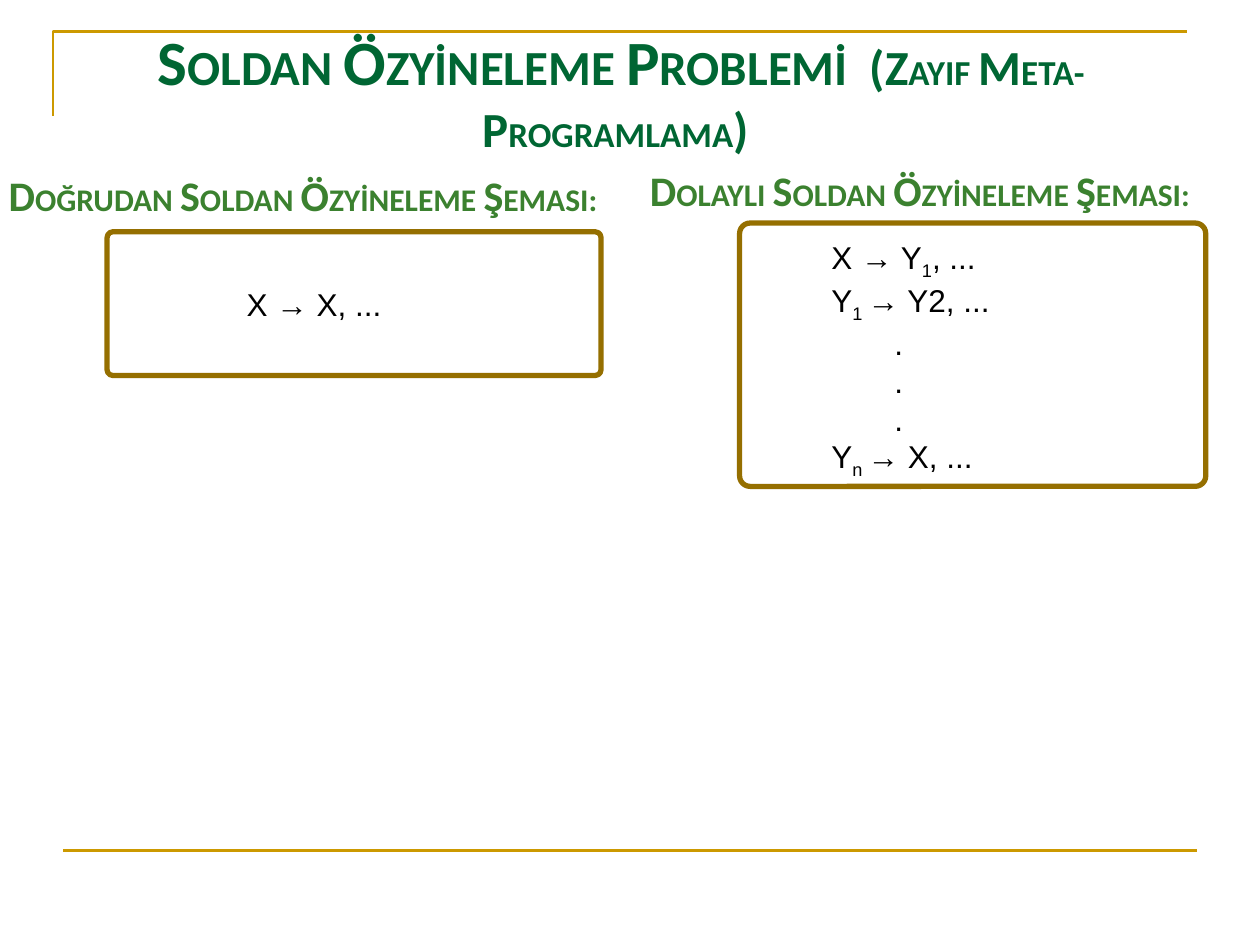
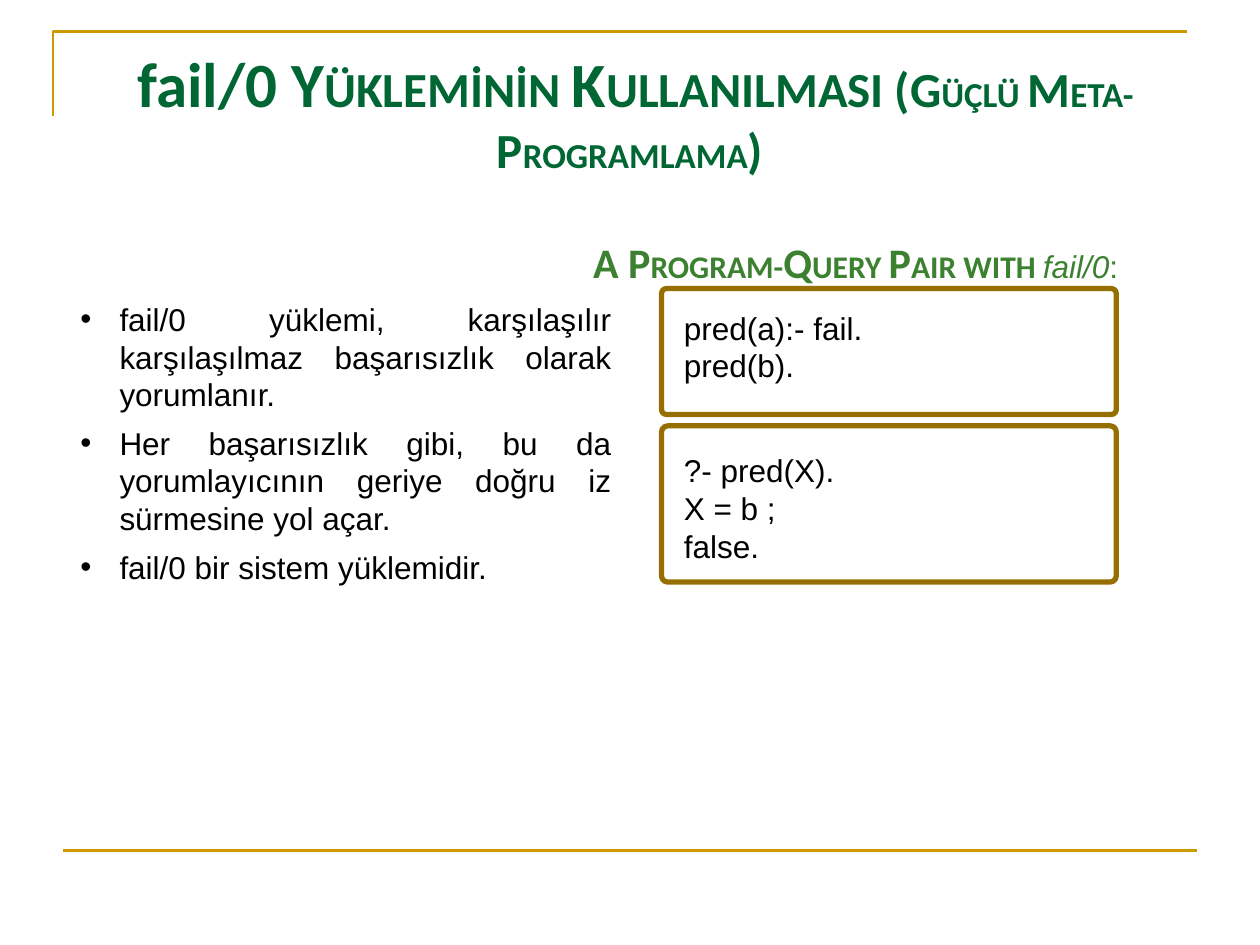
import lxml.etree
import pptx
import pptx.dml.color
import pptx.enum.shapes
import pptx.enum.text
import pptx.oxml.ns
import pptx.util

EMU_PER_PX = 9144  # 100 px to the inch
SLIDE_SIZE = (1000, 750)

COLORS = {
    "rule": "CC9900",
    "frame": "956F00",
    "title": "006633",
    "heading": "3B812F",
    "body": "000000",
}

# Each style is the base format of a text; a run may override parts of it.
STYLES = {
    "title": {"name": "Calibri", "size": 28, "bold": True, "color": "title"},
    "heading": {"name": "Calibri", "size": 18, "bold": True, "color": "heading"},
    "body": {"name": "Arial", "size": 18, "bold": False, "color": "body"},
}
LARGEST = {"size": 36}
LARGE = {"size": 24}
SMALL = {"size": 20}
SUBSCRIPT = {"baseline": -25000}
PLAIN = {"name": "Arial", "bold": False}
ITALIC = {**PLAIN, "italic": True}

# A paragraph is a string or a list of runs; a run is a string or (string, format).
META_PROGRAMMING = ["M", ("ETA-", SMALL), "P", ("ROGRAMLAMA", SMALL), ")"]
RECURSION_SCHEME = [
    ("S", LARGE), "OLDAN ", ("Ö", LARGE), "ZYİNELEME ", ("Ş", LARGE), "EMASI:",
]
DOT_LINE = "\t."

SLIDES = [
    {
        "title": [
            " ", ("S", LARGEST), "OLDAN ", ("Ö", LARGEST), "ZYİNELEME ",
            ("P", LARGEST), "ROBLEMİ  (Z", ("AYIF ", SMALL), *META_PROGRAMMING,
        ],
        "title_box": (4, 13, 969, 68),
        "frames": [(85, 184, 392, 114), (587, 177, 370, 209)],
        "texts": [
            ("heading", (-3, 130, 572, 50),
             [[("D", LARGE), "OĞRUDAN ", *RECURSION_SCHEME]]),
            ("heading", (506, 126, 533, 50),
             [[("D", LARGE), "OLAYLI ", *RECURSION_SCHEME]]),
            ("body", (186, 221, 220, 40), ["X → X, ..."]),
            ("body", (650, 184, 242, 203), [
                ["X → Y", ("1", SUBSCRIPT), ", ..."],
                ["Y", ("1 ", SUBSCRIPT), "→ Y2, ..."],
                DOT_LINE, DOT_LINE, DOT_LINE,
                ["Y", ("n ", SUBSCRIPT), "→ X, ..."],
            ]),
        ],
    },
    {
        "title": [
            " ", ("fail/0 Y", LARGEST), "ÜKLEMİNİN ", ("K", LARGEST),
            "ULLANILMASI (G", ("ÜÇLÜ ", SMALL), *META_PROGRAMMING,
        ],
        "title_box": (50, 30, 900, 77),
        "frames": [(525, 229, 361, 100), (525, 338, 361, 124)],
        "texts": [
            ("heading", (461, 183, 495, 50), [[
                ("A P", LARGE), "ROGRAM-", ("Q", LARGE), "UERY ", ("P", LARGE),
                "AIR WITH ", ("fail/0", ITALIC), (":", PLAIN),
            ]]),
            ("body", (533, 240, 179, 70), ["pred(a):- fail.", "pred(b)."]),
            ("body", (533, 353, 163, 100), ["?- pred(X).", "X = b ;", "false."]),
        ],
        "bullets": ((54, 233, 441, 237), [
            "fail/0 yüklemi, karşılaşılır karşılaşılmaz başarısızlık olarak yorumlanır.",
            "Her başarısızlık gibi, bu da yorumlayıcının geriye doğru iz sürmesine yol açar.",
            "fail/0 bir sistem yüklemidir.",
        ]),
    },
]

CORNER_RULE = [(42, 92), (42, 25), (942, 25)]
FOOTER_RULE = (50, 675, 950, 675)
BULLET_INDENT = 31


def px(*lengths):
    return [pptx.util.Emu(length * EMU_PER_PX) for length in lengths]


def rgb(color_name):
    return pptx.dml.color.RGBColor.from_string(COLORS[color_name])


def set_line(shape, color_name, width):
    shape.line.color.rgb = rgb(color_name)
    shape.line.width = pptx.util.Pt(width)


def add_run(paragraph, text, values):
    run = paragraph.add_run()
    run.text = text
    for key, value in values.items():
        if key == "color":
            run.font.color.rgb = rgb(value)
        elif key == "baseline":
            run._r.get_or_add_rPr().set("baseline", str(value))
        else:
            setattr(run.font, key, pptx.util.Pt(value) if key == "size" else value)


def write_text(shape, style, paragraphs):
    frame = shape.text_frame
    frame.word_wrap = True
    frame.auto_size = pptx.enum.text.MSO_AUTO_SIZE.NONE
    frame.vertical_anchor = pptx.enum.text.MSO_ANCHOR.TOP
    for index, runs in enumerate(paragraphs):
        paragraph = frame.add_paragraph() if index else frame.paragraphs[0]
        for run in [runs] if isinstance(runs, str) else runs:
            text, changes = (run, {}) if isinstance(run, str) else run
            add_run(paragraph, text, {**STYLES[style], **changes})


def add_rules(slide):
    start, *corners = CORNER_RULE
    builder = slide.shapes.build_freeform(*start, scale=EMU_PER_PX)
    builder.add_line_segments(corners, close=False)
    corner = builder.convert_to_shape()
    corner.shadow.inherit = False
    corner.fill.background()
    footer = slide.shapes.add_connector(
        pptx.enum.shapes.MSO_CONNECTOR.STRAIGHT, *px(*FOOTER_RULE))
    for rule in (corner, footer):
        set_line(rule, "rule", 1.5)
    lxml.etree.SubElement(footer._element.spPr, pptx.oxml.ns.qn("a:effectLst"))


def add_title(slide, runs, box):
    title = slide.shapes.title
    for key, value in zip(("left", "top", "width", "height"), px(*box)):
        setattr(title, key, value)
    write_text(title, "title", [runs])
    title.text_frame.paragraphs[0].alignment = pptx.enum.text.PP_ALIGN.CENTER


def add_frame(slide, box):
    frame = slide.shapes.add_shape(
        pptx.enum.shapes.MSO_SHAPE.ROUNDED_RECTANGLE, *px(*box))
    frame.adjustments[0] = 0.04
    frame.shadow.inherit = False
    frame.fill.background()
    set_line(frame, "frame", 3)


def add_text(slide, style, box, paragraphs):
    shape = slide.shapes.add_textbox(*px(*box))
    write_text(shape, style, paragraphs)
    return shape


def add_bullets(slide, box, items):
    paragraphs = add_text(slide, "body", box, items).text_frame.paragraphs
    indent, = px(BULLET_INDENT)
    for paragraph in paragraphs:
        paragraph.alignment = pptx.enum.text.PP_ALIGN.JUSTIFY
        if paragraph is not paragraphs[-1]:
            paragraph.space_after = pptx.util.Pt(6)
        properties = paragraph._p.get_or_add_pPr()
        properties.set("marL", str(indent))
        properties.set("indent", str(-indent))
        for tag, key, value in (("a:buFont", "typeface", "Arial"),
                                ("a:buChar", "char", "•")):
            bullet = lxml.etree.SubElement(properties, pptx.oxml.ns.qn(tag))
            bullet.set(key, value)


def main():
    presentation = pptx.Presentation()
    presentation.slide_width, presentation.slide_height = px(*SLIDE_SIZE)
    title_only = presentation.slide_layouts[5]
    for content in SLIDES:
        slide = presentation.slides.add_slide(title_only)
        add_rules(slide)
        add_title(slide, content["title"], content["title_box"])
        for box in content["frames"]:
            add_frame(slide, box)
        for style, box, paragraphs in content["texts"]:
            add_text(slide, style, box, paragraphs)
        if "bullets" in content:
            add_bullets(slide, *content["bullets"])
    presentation.save("out.pptx")


if __name__ == "__main__":
    main()
